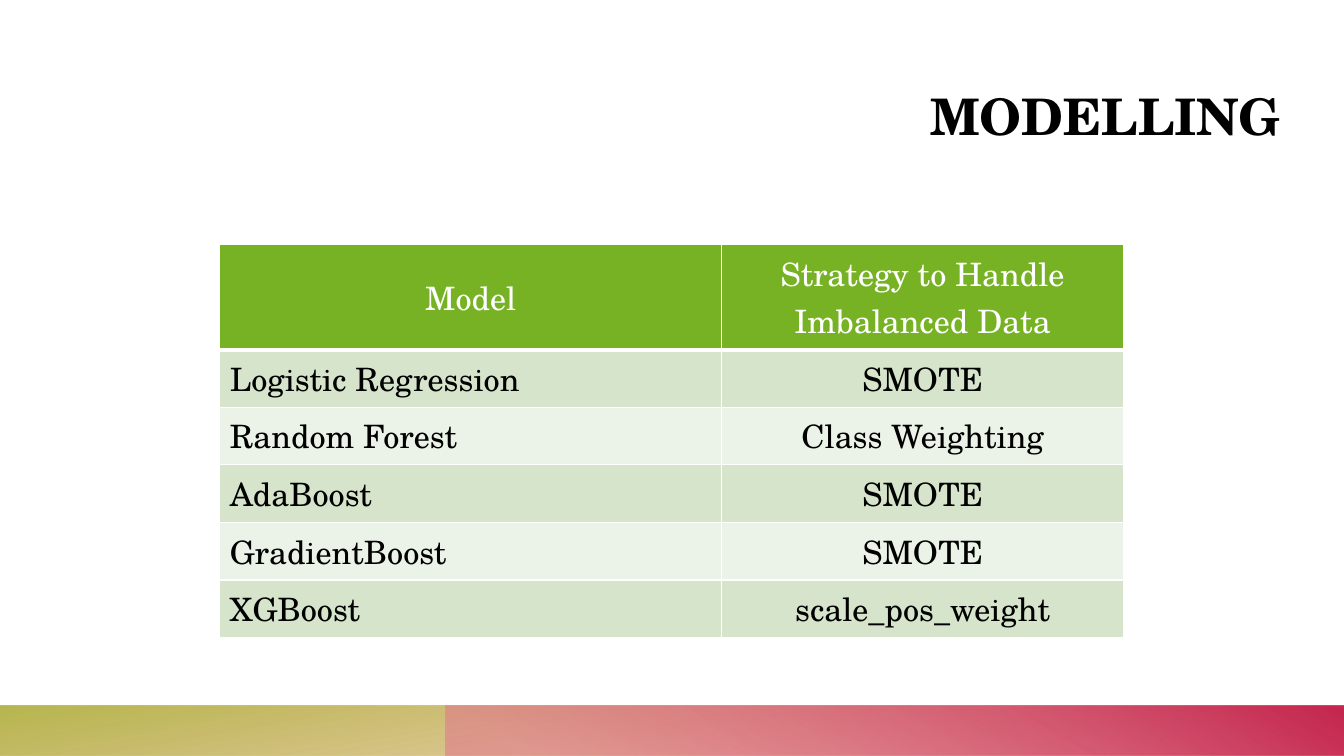
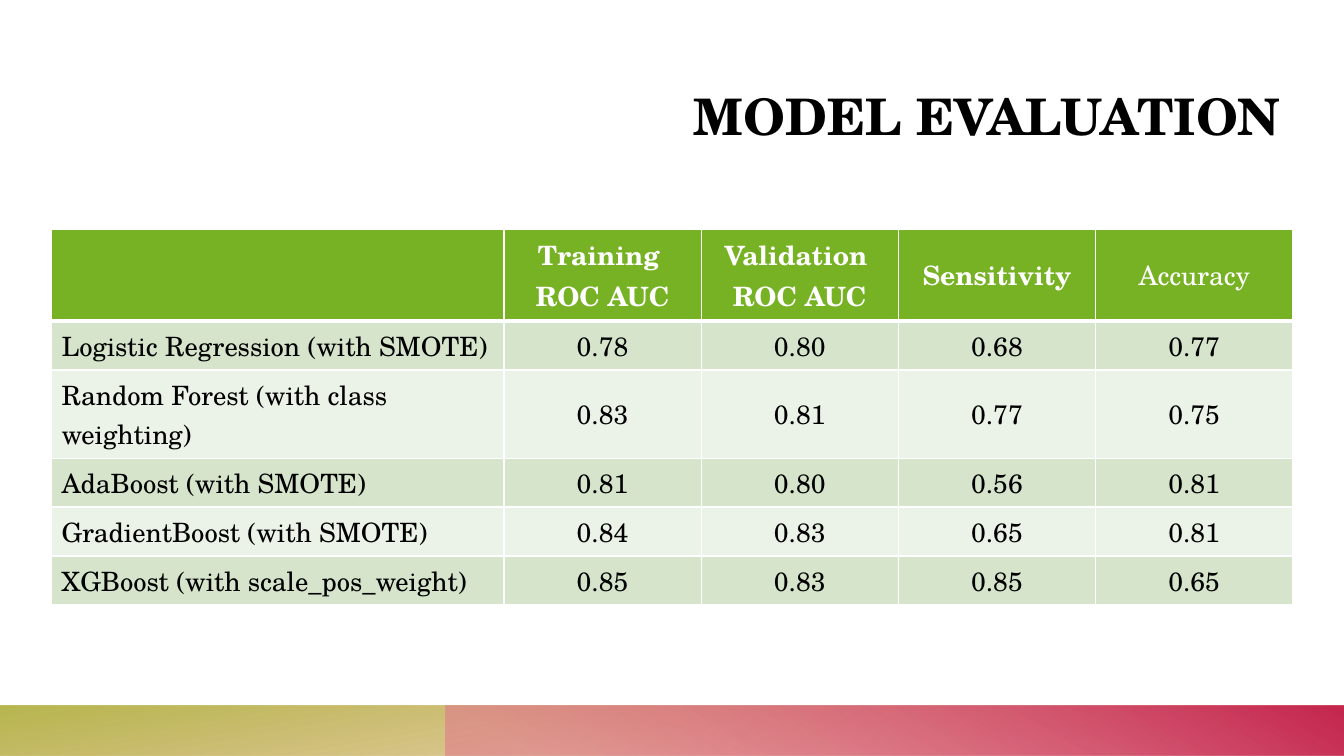
from dataclasses import dataclass

from lxml import etree
from pptx import Presentation
from pptx.dml import color
from pptx.enum import shapes, text
from pptx.oxml import ns
from pptx.util import Cm, Pt

FONT = "TeX Gyre Schola"
WHITE, BLACK = "FFFFFF", "000000"
HEADER = "76B223"
STRIPES = ("D5E4CB", "EBF2E7")
PAGE_WIDTH, PAGE_HEIGHT = 33.87, 19.05
BAND_HEIGHT = 1.27
RED_LEFT = 11.22
OLIVE_STOPS = ((0, "C58427", 27), (14, "C58427", 27), (100, "A9A92D", 84))
RED_STOPS = ((0, "E4748F", 55), (9, "E4748F", 55), (99, "C5274E", 100), (100, "C5274E", 100))


@dataclass
class Box:
    left: float
    top: float
    width: float
    height: float

    def lengths(self):
        return Cm(self.left), Cm(self.top), Cm(self.width), Cm(self.height)


def paint(target, value):
    rgb = color.RGBColor.from_string(value)
    if hasattr(target, "solid"):
        target.solid()
        target.fore_color.rgb = rgb
    else:
        target.rgb = rgb


def child(parent, tag, **attributes):
    return etree.SubElement(parent, ns.qn(tag), attributes)


def write(para, words, size, shade, bold, align):
    para.alignment = align
    span = para.add_run()
    span.text = words
    span.font.name = FONT
    span.font.size = Pt(size)
    span.font.bold = bold
    paint(span.font.color, shade)


def add_band(page, box, stops, angle, rotation=0):
    band = page.shapes.add_shape(shapes.MSO_SHAPE.RECTANGLE, *box.lengths())
    band.shadow.inherit = False
    band.rotation = rotation
    band.line.fill.background()
    paint(band.fill, stops[0][1])
    properties = band.element.spPr
    properties.find(ns.qn("a:xfrm")).set("flipH", "1")
    solid = properties.find(ns.qn("a:solidFill"))
    gradient = etree.Element(ns.qn("a:gradFill"), {"rotWithShape": "1"})
    stop_list = child(gradient, "a:gsLst")
    for place, shade, opacity in stops:
        stop = child(stop_list, "a:gs", pos=str(place * 1000))
        tone = child(stop, "a:srgbClr", val=shade)
        child(tone, "a:alpha", val=str(opacity * 1000))
    child(gradient, "a:lin", ang=str(angle * 60000), scaled="0")
    properties.replace(solid, gradient)
    return band


def set_up_layout(layout, page):
    top = PAGE_HEIGHT - BAND_HEIGHT
    olive = add_band(page, Box(0, top, PAGE_WIDTH, BAND_HEIGHT), OLIVE_STOPS, 100, 180)
    red_box = Box(RED_LEFT, top, PAGE_WIDTH - RED_LEFT, BAND_HEIGHT)
    red = add_band(page, red_box, RED_STOPS, 240)
    for band in (olive, red):
        layout.shapes.element.append(band.element)


def fill_title(page, words, box):
    title = page.shapes.title
    title.left, title.top, title.width, title.height = box.lengths()
    frame = title.text_frame
    frame.margin_left = frame.margin_right = frame.margin_top = frame.margin_bottom = 0
    frame.vertical_anchor = text.MSO_ANCHOR.BOTTOM
    frame.word_wrap = True
    write(frame.paragraphs[0], words, 36, BLACK, True, text.PP_ALIGN.RIGHT)


def set_borders(cell, row):
    properties = cell._tc.get_or_add_tcPr()
    widths = {"L": 1, "R": 1, "T": 3 if row == 1 else 1, "B": 3 if row == 0 else 1}
    for side, width in widths.items():
        line = child(properties, f"a:ln{side}", w=str(Pt(width)))
        child(child(line, "a:solidFill"), "a:srgbClr", val=WHITE)


def fill_cell(cell, words, row, column, size, bold):
    header = row == 0
    set_borders(cell, row)
    paint(cell.fill, HEADER if header else STRIPES[(row - 1) % 2])
    cell.vertical_anchor = text.MSO_ANCHOR.MIDDLE
    align = text.PP_ALIGN.CENTER if header or column else text.PP_ALIGN.LEFT
    frame = cell.text_frame
    for index, words_line in enumerate(words.split("\n") if words else ()):
        para = frame.add_paragraph() if index else frame.paragraphs[0]
        write(para, words_line, size, WHITE if header else BLACK, bold, align)


def add_grid(page, left, top, widths, heights, rows, size, bold_headers=()):
    box = Box(left, top, sum(widths), sum(heights))
    grid = page.shapes.add_table(len(rows), len(widths), *box.lengths()).table
    grid.first_row = grid.horz_banding = False
    for column, width in zip(grid.columns, widths):
        column.width = Cm(width)
    for line, height in zip(grid.rows, heights):
        line.height = Cm(height)
    for row, values in enumerate(rows):
        for column, words in enumerate(values):
            bold = row == 0 and column in bold_headers
            fill_cell(grid.cell(row, column), words, row, column, size, bold)


def fill_modelling(page, title_box):
    fill_title(page, "MODELLING", title_box)
    rows = (
        ("Model", "Strategy to Handle Imbalanced Data"),
        ("Logistic Regression", "SMOTE"),
        ("Random Forest", "Class Weighting"),
        ("AdaBoost", "SMOTE"),
        ("GradientBoost", "SMOTE"),
        ("XGBoost", "scale_pos_weight"),
    )
    add_grid(page, 5.54, 6.17, (12.65, 10.13), (2.62,) + (1.45,) * 5, rows, 23)


def fill_evaluation(page, title_box):
    fill_title(page, "MODEL EVALUATION", title_box)
    rows = (
        ("", "Training \nROC AUC", "Validation \nROC AUC", "Sensitivity", "Accuracy"),
        ("Logistic Regression (with SMOTE)", "0.78", "0.80", "0.68", "0.77"),
        ("Random Forest (with class weighting)", "0.83", "0.81", "0.77", "0.75"),
        ("AdaBoost (with SMOTE)", "0.81", "0.80", "0.56", "0.81"),
        ("GradientBoost (with SMOTE)", "0.84", "0.83", "0.65", "0.81"),
        ("XGBoost (with scale_pos_weight)", "0.85", "0.83", "0.85", "0.65"),
    )
    heights = (2.32, 1.23, 2.22, 1.23, 1.23, 1.23)
    add_grid(page, 1.3, 5.77, (11.4,) + (4.97,) * 4, heights, rows, 19, (1, 2, 3))


def main():
    deck = Presentation()
    deck.slide_width, deck.slide_height = Cm(PAGE_WIDTH), Cm(PAGE_HEIGHT)
    layout = deck.slide_layouts.get_by_name("Title Only")
    title_box = Box(3.81, 2, 28.45, 1.68)
    modelling = deck.slides.add_slide(layout)
    set_up_layout(layout, modelling)
    fill_modelling(modelling, title_box)
    fill_evaluation(deck.slides.add_slide(layout), title_box)
    deck.save("out.pptx")


if __name__ == "__main__":
    main()
